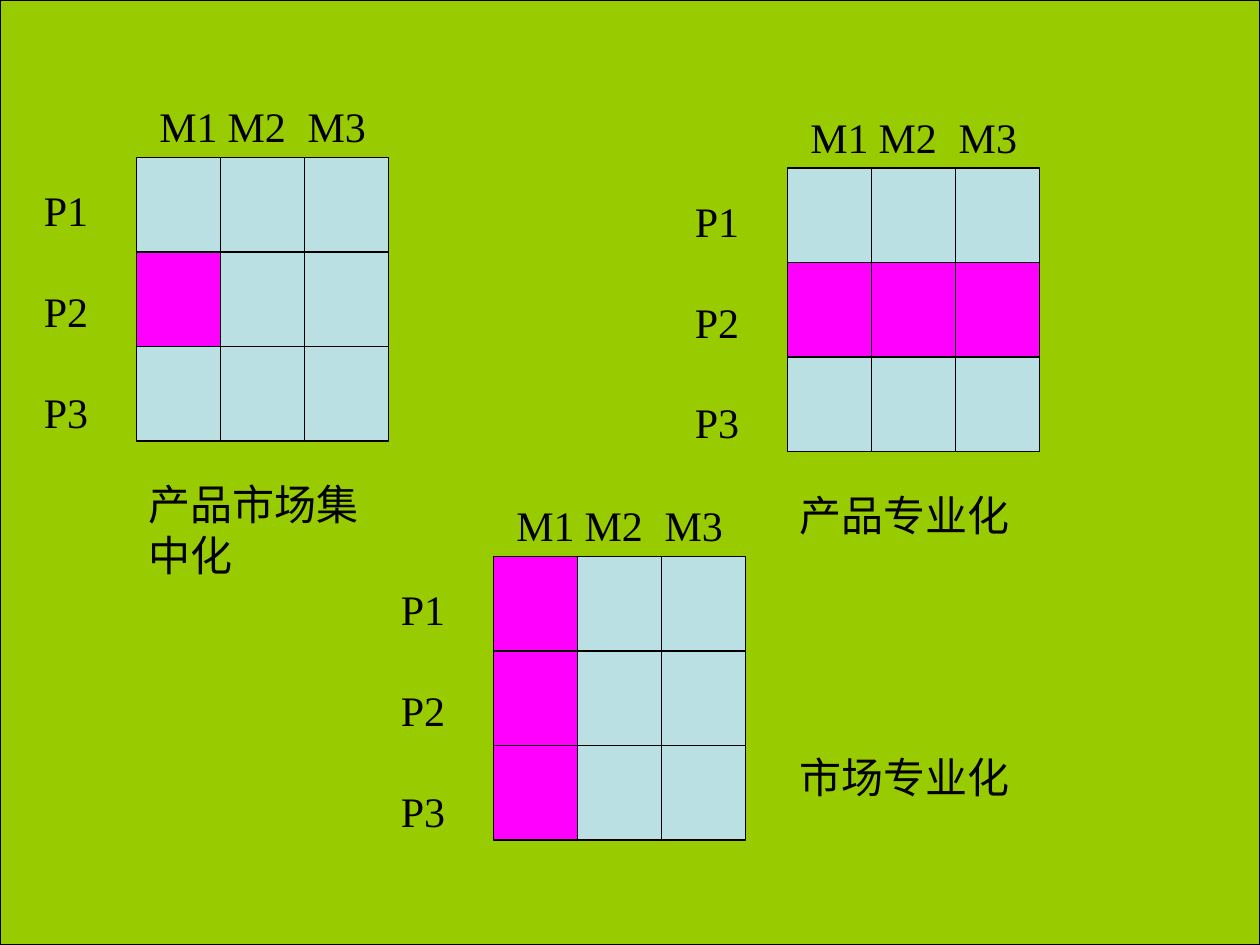
from pptx import Presentation
from pptx.dml.color import RGBColor
from pptx.enum.shapes import MSO_SHAPE
from pptx.enum.text import MSO_ANCHOR, MSO_AUTO_SIZE
from pptx.oxml.ns import qn
from pptx.util import Pt
from lxml import etree

RECT = MSO_SHAPE.RECTANGLE
TOP = MSO_ANCHOR.TOP
GROW = MSO_AUTO_SIZE.SHAPE_TO_FIT_TEXT

PX = 9525  # 96 px to the inch
WIDE, HIGH = 960, 720
CELL_W, CELL_H = 64, 72
FONT, SIZE, LEAD = "Times New Roman", 24, 28.8
COLORS = {"back": "99CC00", "cell": "BBE0E3", "pick": "FF00FF", "ink": "000000"}

MARKETS = ["M1", "M2", "M3"]
PRODUCTS = ["P1", "P2", "P3"]
TABS = [52, 113]

# left, top, picked (product, market) cells
GRIDS = [
    (104, 120, {("P2", "M1")}),
    (600, 128, {("P2", m) for m in MARKETS}),
    (376, 424, {(p, "M1") for p in PRODUCTS}),
]
# text, left, top, width, height
LABELS = [
    ("产品市场集中化", 104, 360, 208, 86),
    ("产品专业化", 600, 368, 216, 48),
    ("市场专业化", 600, 568, 208, 48),
]


def rgb(name):
    return RGBColor.from_string(COLORS[name])


def emu(*box):
    return [v * PX for v in box]


def add_rect(shapes, box, fill):
    rect = shapes.add_shape(RECT, *emu(*box))
    rect.shadow.inherit = False
    rect.fill.solid()
    rect.fill.fore_color.rgb = rgb(fill)
    rect.line.color.rgb = rgb("ink")
    rect.line.width = Pt(0.75)


def add_text(shapes, lines, box, gap=0, tabs=()):
    """Add one paragraph per line, gap points apart, with tab stops in px."""
    frame = shapes.add_textbox(*emu(*box)).text_frame
    frame.word_wrap = True
    frame.auto_size = GROW
    frame.vertical_anchor = TOP
    for i, line in enumerate(lines):
        para = frame.add_paragraph() if i else frame.paragraphs[0]
        para.text = line
        para.line_spacing = Pt(LEAD)
        if i:
            para.space_before = Pt(gap)
        if tabs:
            stops = etree.SubElement(para._p.get_or_add_pPr(), qn("a:tabLst"))
            for stop in tabs:
                etree.SubElement(stops, qn("a:tab"), pos=str(stop * PX), algn="l")
        para.font.name = FONT
        para.font.size = Pt(SIZE)
        para.font.color.rgb = rgb("ink")


def add_grid(shapes, left, top, picks):
    group = shapes.add_group_shape().shapes
    for row, prod in enumerate(PRODUCTS):
        for col, mark in enumerate(MARKETS):
            box = (left + col * CELL_W, top + row * CELL_H, CELL_W, CELL_H)
            add_rect(group, box, "pick" if (prod, mark) in picks else "cell")
    add_text(group, ["\t".join(MARKETS)], (left + 8, top - 48, 184, 48), tabs=TABS)
    add_text(group, PRODUCTS, (left - 80, top + 16, 72, 202), gap=LEAD)


def main():
    deck = Presentation()
    deck.slide_width, deck.slide_height = emu(WIDE, HIGH)
    shapes = deck.slides.add_slide(deck.slide_layouts[6]).shapes
    add_rect(shapes, (0, 0, WIDE, HIGH), "back")
    for grid in GRIDS:
        add_grid(shapes, *grid)
    for text, *box in LABELS:
        add_text(shapes, [text], box)
    deck.save("out.pptx")


if __name__ == "__main__":
    main()
